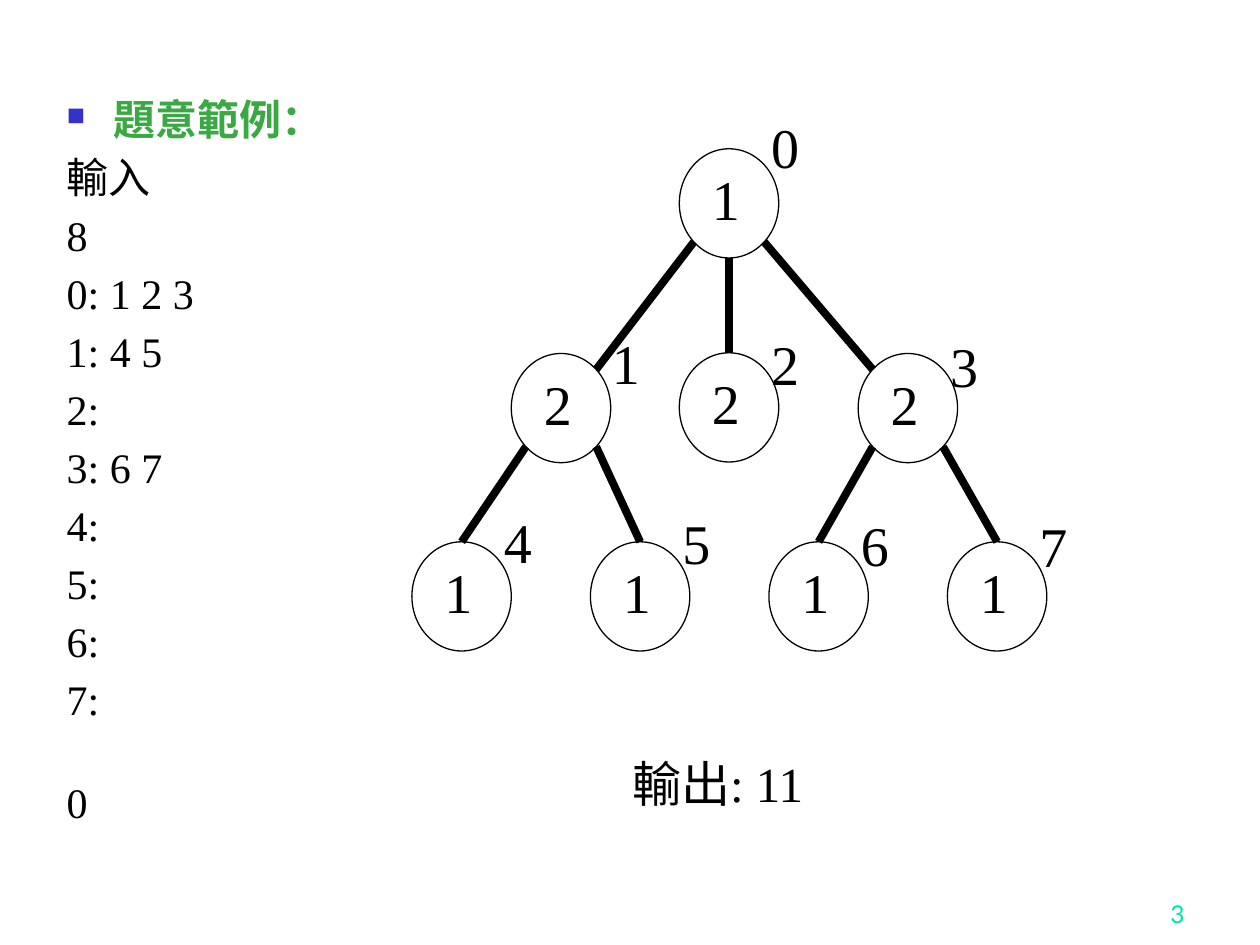
"""Build a slide showing a sample input and the tree it describes."""
from dataclasses import dataclass
from math import sqrt

from lxml.etree import SubElement
from pptx import Presentation
from pptx.dml.color import RGBColor
from pptx.enum.shapes import MSO_CONNECTOR, MSO_SHAPE
from pptx.enum.text import MSO_ANCHOR, PP_ALIGN
from pptx.oxml.ns import qn
from pptx.slide import Slide
from pptx.text.text import TextFrame, _Paragraph
from pptx.util import Pt

BLACK = RGBColor(0x00, 0x00, 0x00)
GREEN = RGBColor(0x3B, 0xA9, 0x43)
BLUE = RGBColor(0x33, 0x33, 0xCC)
TEAL = RGBColor(0x00, 0xE4, 0xA8)
SERIF = "Times New Roman"
SANS = "Lato"

NODE_WIDTH, NODE_HEIGHT = 56.8, 62.4
ROOT_TOP, MIDDLE_TOP, LEAF_TOP = 85, 202, 309.6
LEAF_LEFT, LEAF_GAP = 235.4, 102
HEADING = "題意範例："
INPUT_LINES = ["輸入", "8", "0: 1 2 3", "1: 4 5", "2:", "3: 6 7", "4:", "5:", "6:", "7:"]
LAST_LINE = "0"


@dataclass(frozen=True)
class Node:
    """A tree node with its value and the offset of its index label."""

    left: float
    top: float
    value: str
    label_dx: float
    label_dy: float

    def rim(self, side: int, down: int) -> tuple[float, float]:
        """Return the rim point at the left, middle or right of the upper or lower half."""
        diagonal = 1 / sqrt(2)
        x = self.left + NODE_WIDTH / 2 * (1 + side * diagonal)
        y = self.top + NODE_HEIGHT / 2 * (1 + down * (diagonal if side else 1))
        return x, y


@dataclass(frozen=True)
class Edge:
    """A branch between two nodes, with the side of the rim used at each end."""

    parent: int
    child: int
    parent_side: int
    child_side: int


NODES = [
    Node(388.2, ROOT_TOP, "1", 45.4, -24.5),
    Node(292.2, MIDDLE_TOP, "2", 50.4, -18),
    Node(388.2, MIDDLE_TOP - 0.4, "2", 45.4, -16.6),
    Node(490.4, MIDDLE_TOP, "2", 45.4, -16.4),
] + [
    Node(LEAF_LEFT + LEAF_GAP * place, LEAF_TOP, "1", 45.4, -23 + 0.7 * place)
    for place in range(4)
]
EDGES = [
    Edge(0, 1, -1, 1),
    Edge(0, 2, 0, 0),
    Edge(0, 3, 1, -1),
    Edge(1, 4, -1, 0),
    Edge(1, 5, 1, 0),
    Edge(3, 6, -1, 0),
    Edge(3, 7, 1, 0),
]


def add_run(paragraph: _Paragraph, text: str, size: float, color: RGBColor = BLACK,
            font: str = SERIF, bold: bool = False) -> None:
    """Add one formatted run to a paragraph."""
    run = paragraph.add_run()
    run.text = text
    run.font.name = font
    run.font.size = Pt(size)
    run.font.bold = bold
    run.font.color.rgb = color


def add_box(slide: Slide, left: float, top: float, width: float, height: float) -> TextFrame:
    """Add a wrapping text box and return its text frame."""
    frame = slide.shapes.add_textbox(Pt(left), Pt(top), Pt(width), Pt(height)).text_frame
    frame.word_wrap = True
    return frame


def add_digit(slide: Slide, left: float, top: float, text: str) -> None:
    """Add a large digit of the tree."""
    add_run(add_box(slide, left, top, 39.6, 46).paragraphs[0], text, 32)


def add_node(slide: Slide, index: int, node: Node) -> None:
    """Draw a node with its value inside and its index beside it."""
    shape = slide.shapes.add_shape(MSO_SHAPE.OVAL, Pt(node.left), Pt(node.top),
                                   Pt(NODE_WIDTH), Pt(NODE_HEIGHT))
    shape.shadow.inherit = False
    shape.fill.background()
    shape.line.color.rgb = BLACK
    shape.line.width = Pt(0.75)
    add_digit(slide, node.left + 11.5, node.top + 5.4, node.value)
    add_digit(slide, node.left + node.label_dx, node.top + node.label_dy, str(index))


def add_edge(slide: Slide, edge: Edge) -> None:
    """Draw a thick branch from a parent to its child."""
    start = NODES[edge.parent].rim(edge.parent_side, 1)
    end = NODES[edge.child].rim(edge.child_side, -1)
    connector = slide.shapes.add_connector(MSO_CONNECTOR.STRAIGHT, Pt(start[0]), Pt(start[1]),
                                           Pt(end[0]), Pt(end[1]))
    connector.line.color.rgb = BLACK
    connector.line.width = Pt(4.5)
    SubElement(connector._element.spPr, qn("a:effectLst"))


def add_heading(paragraph: _Paragraph) -> None:
    """Write the heading with a small square bullet."""
    properties = paragraph._p.get_or_add_pPr()
    properties.set("marL", str(Pt(27)))
    properties.set("indent", str(-Pt(27)))
    paragraph.line_spacing = 0.9
    color = SubElement(properties, qn("a:buClr"))
    SubElement(color, qn("a:srgbClr"), val=str(BLUE))
    SubElement(properties, qn("a:buSzPct"), val="60000")
    SubElement(properties, qn("a:buChar"), char="■")
    add_run(paragraph, HEADING, 24, GREEN, bold=True)


def add_input(slide: Slide) -> None:
    """Write the heading and the sample input below it."""
    frame = add_box(slide, 31, 53.3, 635.8, 442.8)
    add_heading(frame.paragraphs[0])
    gaps = [7.2] * len(INPUT_LINES) + [33]
    for text, gap in zip(INPUT_LINES + [LAST_LINE], gaps):
        paragraph = frame.add_paragraph()
        paragraph.line_spacing = 0.9
        paragraph.space_before = Pt(gap)
        add_run(paragraph, text, 24)


def add_slide_number(slide: Slide) -> None:
    """Write the slide number in the lower right corner."""
    frame = add_box(slide, 534.2, 498.2, 149.8, 36)
    frame.vertical_anchor = MSO_ANCHOR.BOTTOM
    frame.paragraphs[0].alignment = PP_ALIGN.RIGHT
    add_run(frame.paragraphs[0], "3", 14, TEAL, SANS)


def main() -> None:
    """Build and save the presentation."""
    presentation = Presentation()
    presentation.slide_width = Pt(720)
    presentation.slide_height = Pt(540)
    slide = presentation.slides.add_slide(presentation.slide_layouts[6])
    add_slide_number(slide)
    add_input(slide)
    for edge in EDGES:
        add_edge(slide, edge)
    for index, node in enumerate(NODES):
        add_node(slide, index, node)
    add_run(add_box(slide, 354.2, 427, 130.3, 41).paragraphs[0], "輸出: 11", 28)
    presentation.save("out.pptx")


if __name__ == "__main__":
    main()
